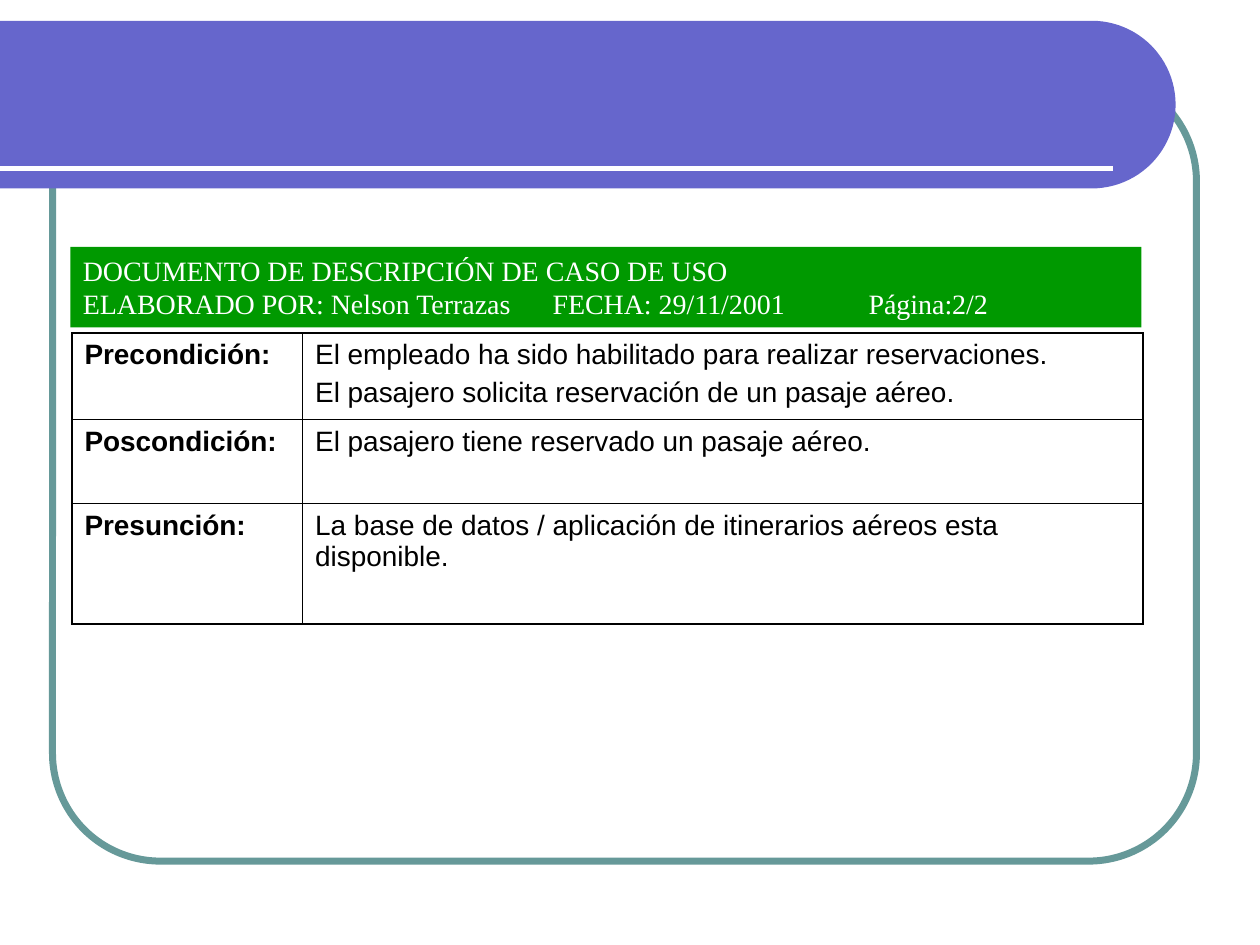
from dataclasses import dataclass
from math import cos, pi, sin

from lxml import etree
from pptx import Presentation
from pptx.dml.color import RGBColor
from pptx.enum.shapes import MSO_CONNECTOR, MSO_SHAPE
from pptx.enum.text import MSO_ANCHOR, PP_ALIGN
from pptx.oxml.ns import qn
from pptx.util import Cm, Pt

STRAIGHT = MSO_CONNECTOR.STRAIGHT
RECT = MSO_SHAPE.RECTANGLE
ROUND = MSO_SHAPE.ROUNDED_RECTANGLE
TOP = MSO_ANCHOR.TOP
LEFT = PP_ALIGN.LEFT


@dataclass(frozen=True)
class Theme:
    teal: str = "669999"
    violet: str = "6666CC"
    green: str = "009900"
    white: str = "FFFFFF"
    black: str = "000000"
    body: int = 16
    sans: str = "Arial"
    serif: str = "Times New Roman"
    thin: float = 0.45
    thick: float = 1.08


THEME = Theme()

HEAD = [
    "DOCUMENTO DE DESCRIPCIÓN DE CASO DE USO\v"
    "ELABORADO POR: Nelson Terrazas\tFECHA: 29/11/2001\tPágina:2/2"
]
ROWS = [
    ("Precondición:", [
        "El empleado ha sido habilitado para realizar reservaciones.",
        "El pasajero solicita reservación de un pasaje aéreo.",
    ]),
    ("Poscondición:", ["El pasajero tiene reservado un pasaje aéreo."]),
    ("Presunción:", [
        "La base de datos / aplicación de itinerarios aéreos esta disponible."
    ]),
]


def rgb(code):
    return RGBColor.from_string(code)


def paint(item, code):
    item.fill.solid()
    item.fill.fore_color.rgb = rgb(code)


def put(frame, lines, font=THEME.sans, color=THEME.black, bold=False,
        gap=4, tabs=()):
    frame.word_wrap = True
    for i, line in enumerate(lines):
        para = frame.paragraphs[0] if i == 0 else frame.add_paragraph()
        para.text = line
        para.alignment = LEFT
        para.space_before = Pt(gap if i else 0)
        if tabs:
            stops = etree.SubElement(para._p.get_or_add_pPr(), qn("a:tabLst"))
            for pos in tabs:
                etree.SubElement(stops, qn("a:tab"), pos=str(Cm(pos)), algn="l")
        for run in para.runs:
            run.font.name = font
            run.font.size = Pt(THEME.body)
            run.font.bold = bold
            run.font.color.rgb = rgb(color)


def add_frame(slide):
    shape = slide.shapes.add_shape(ROUND, Cm(1.06), Cm(1.48), Cm(23.06), Cm(15.88))
    shape.shadow.inherit = False
    shape.adjustments[0] = 0.137
    shape.fill.background()
    shape.line.color.rgb = rgb(THEME.teal)
    shape.line.width = Pt(4)


def add_band(slide):
    top, rad, edge, steps = 0.42, 1.69, 22.01, 48
    arc = []
    for i in range(steps + 1):
        turn = pi * i / steps - pi / 2
        arc.append((Cm(edge + rad * cos(turn)), Cm(top + rad + rad * sin(turn))))
    pen = slide.shapes.build_freeform(0, Cm(top))
    pen.add_line_segments(arc + [(0, Cm(top + 2 * rad))], close=True)
    shape = pen.convert_to_shape()
    shape.shadow.inherit = False
    paint(shape, THEME.violet)
    shape.line.fill.background()


def add_rule(slide):
    rule = slide.shapes.add_connector(STRAIGHT, 0, Cm(3.39), Cm(22.44), Cm(3.39))
    rule.line.color.rgb = rgb(THEME.white)
    rule.line.width = Pt(3)
    etree.SubElement(rule._element.spPr, qn("a:effectLst"))


def set_edge(cell, side, width):
    edge = etree.SubElement(cell._tc.get_or_add_tcPr(), qn("a:" + side),
                            w=str(Pt(width)))
    fill = etree.SubElement(edge, qn("a:solidFill"))
    etree.SubElement(fill, qn("a:srgbClr"), val=THEME.black)


def add_grid(slide):
    wides, highs = (4.65, 16.94), (1.75, 1.69, 2.43)
    grid = slide.shapes.add_table(len(highs), len(wides), Cm(1.45), Cm(6.71),
                                  Cm(sum(wides)), Cm(sum(highs))).table
    grid.first_row = grid.horz_banding = False
    for col, wide in zip(grid.columns, wides):
        col.width = Cm(wide)
    for r, (name, lines) in enumerate(ROWS):
        grid.rows[r].height = Cm(highs[r])
        for c, text in enumerate(([name], lines)):
            cell = grid.cell(r, c)
            put(cell.text_frame, text, bold=c == 0)
            outer = {"lnL": c == 0, "lnR": c == len(wides) - 1,
                     "lnT": r == 0, "lnB": r == len(highs) - 1}
            for side, out in outer.items():
                set_edge(cell, side, THEME.thick if out else THEME.thin)
            paint(cell, THEME.white)


def add_head(slide):
    shape = slide.shapes.add_shape(RECT, Cm(1.42), Cm(4.98), Cm(21.59), Cm(1.62))
    shape.shadow.inherit = False
    paint(shape, THEME.green)
    shape.line.fill.background()
    shape.text_frame.vertical_anchor = TOP
    put(shape.text_frame, HEAD, font=THEME.serif, color=THEME.white,
        tabs=(9.47, 15.84))


def main():
    deck = Presentation()
    deck.slide_width, deck.slide_height = Cm(25.4), Cm(19.05)
    slide = deck.slides.add_slide(deck.slide_layouts[6])
    add_frame(slide)
    add_band(slide)
    add_rule(slide)
    add_grid(slide)
    add_head(slide)
    deck.save("out.pptx")


if __name__ == "__main__":
    main()
